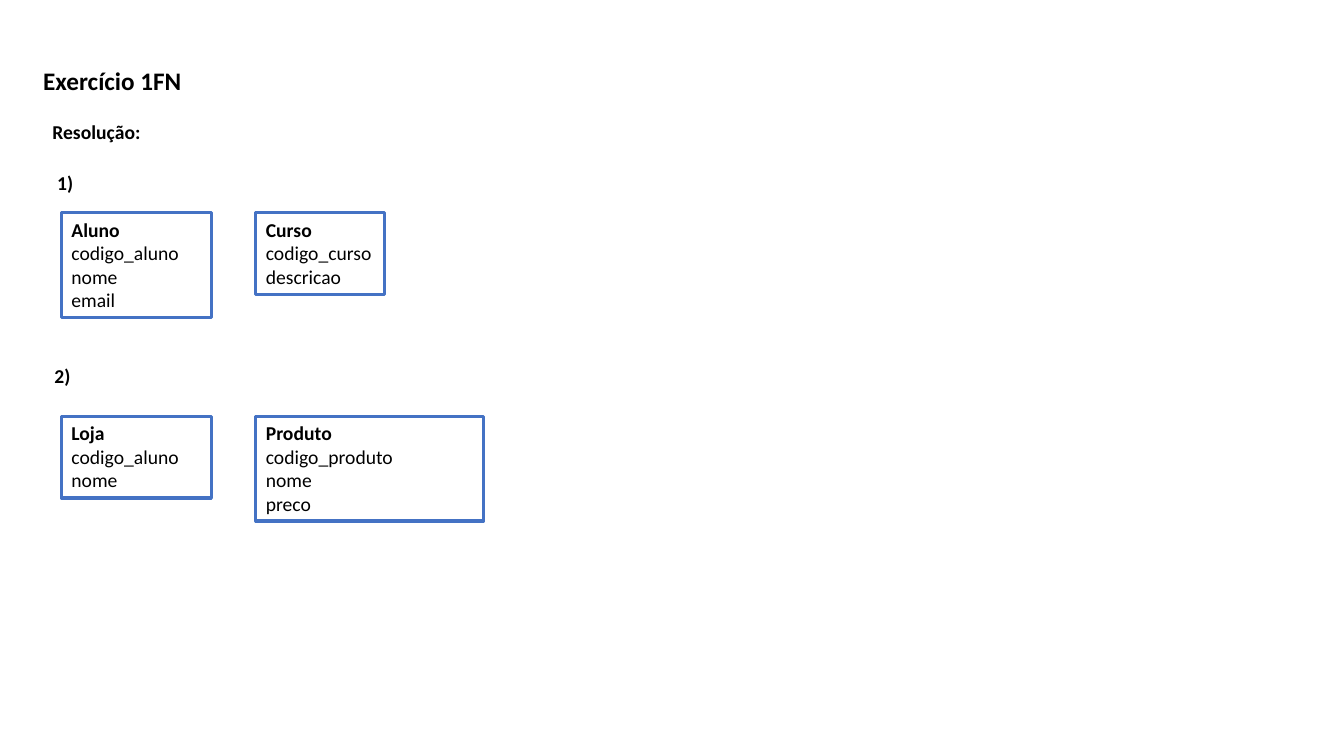
"""Build the slide with the solution of the first normal form exercise."""
from pptx import Presentation
from pptx.dml.color import RGBColor
from pptx.enum.shapes import MSO_SHAPE as Shape
from pptx.enum.text import MSO_ANCHOR as Anchor, MSO_AUTO_SIZE as AutoSize, PP_ALIGN as Align
from pptx.util import Cm, Pt

BLACK = RGBColor(0x00, 0x00, 0x00)
WHITE = RGBColor(0xFF, 0xFF, 0xFF)
BLUE = RGBColor(0x44, 0x72, 0xC4)
LINE_HEIGHT = 0.58
BOX_PADDING = 0.32


def style_paragraph(para, size, bold):
    para.alignment = Align.LEFT
    for span in para.runs:
        span.font.name = "Calibri"
        span.font.size = Pt(size)
        span.font.bold = bold
        span.font.color.rgb = BLACK


deck = Presentation()
deck.slide_width = Cm(33.87)
deck.slide_height = Cm(19.05)
page = deck.slides.add_slide(deck.slide_layouts[6])

headings = [
    ("Exercício 1FN", 0.84, 0.23, 5.33, 3.68, 18),
    ("Resolução:", 1.07, 2.82, 3.05, 1.09, 14),
    ("1)", 1.19, 4.09, 3.05, 1.09, 14),
    ("2)", 1.12, 8.97, 1.55, 1.09, 14),
]
for text, left, top, width, height, size in headings:
    box = page.shapes.add_textbox(Cm(left), Cm(top), Cm(width), Cm(height))
    frame = box.text_frame
    frame.word_wrap = True
    frame.vertical_anchor = Anchor.MIDDLE
    frame.text = text
    para = frame.paragraphs[0]
    para.line_spacing = 0.9
    style_paragraph(para, size, True)

entities = [
    (1.55, 5.36, 3.78, ["Aluno", "codigo_aluno", "nome", "email"]),
    (6.45, 5.36, 3.25, ["Curso", "codigo_curso", "descricao"]),
    (1.55, 10.49, 3.78, ["Loja", "codigo_aluno", "nome"]),
    (6.45, 10.49, 5.74, ["Produto", "codigo_produto", "nome", "preco"]),
]
for left, top, width, lines in entities:
    height = BOX_PADDING + LINE_HEIGHT * len(lines)
    box = page.shapes.add_shape(Shape.RECTANGLE, Cm(left), Cm(top), Cm(width), Cm(height))
    box.shadow.inherit = False
    box.fill.solid()
    box.fill.fore_color.rgb = WHITE
    box.line.color.rgb = BLUE
    box.line.width = Pt(2.25)
    frame = box.text_frame
    frame.word_wrap = True
    frame.auto_size = AutoSize.SHAPE_TO_FIT_TEXT
    frame.vertical_anchor = Anchor.TOP
    frame.text = "\n".join(lines)
    for index, para in enumerate(frame.paragraphs):
        style_paragraph(para, 14, index == 0)

deck.save("out.pptx")
